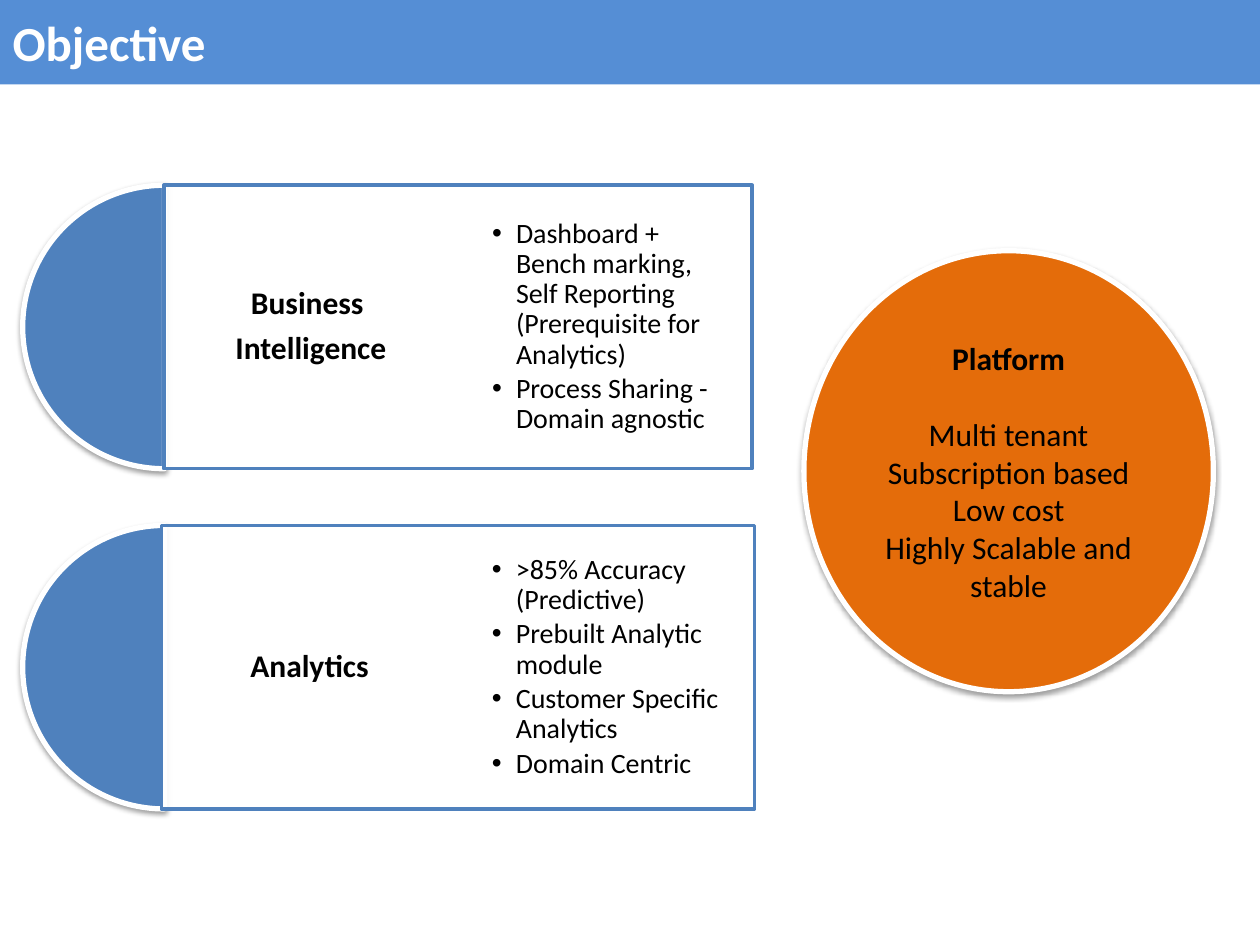
from lxml import etree
from pptx import Presentation
from pptx import util as u
from pptx.dml.color import RGBColor
from pptx.enum import shapes, text
from pptx.oxml.ns import qn

BLUE, ORANGE, BANNER = "4F81BD", "E46C0A", "558ED5"
WHITE, BLACK = "FFFFFF", "000000"


def color(hex_code):
    return RGBColor.from_string(hex_code)


def add_xml(parent, tag, **attributes):
    return etree.SubElement(parent, qn(tag), attributes)


class Deck:
    font = "Calibri"

    def __init__(self):
        self.prs = Presentation()
        self.prs.slide_width, self.prs.slide_height = u.Inches(10), u.Inches(7.5)
        self.slide = self.prs.slides.add_slide(self.prs.slide_layouts[5])

    def place(self, box):
        return [u.Inches(length) for length in box]

    def add_words(self, paragraph, words, size, ink=BLACK, bold=False):
        run = paragraph.add_run()
        run.text = words
        run.font.name, run.font.size, run.font.bold = self.font, u.Pt(size), bold
        run.font.color.rgb = color(ink)

    def paragraphs(self, frame, lines):
        """Yield one paragraph of the frame for each line."""
        for index, line in enumerate(lines):
            yield (frame.add_paragraph() if index else frame.paragraphs[0]), line

    def title(self, box, words):
        title = self.slide.shapes.title
        title.left, title.top, title.width, title.height = self.place(box)
        title.fill.solid()
        title.fill.fore_color.rgb = color(BANNER)
        frame = title.text_frame
        frame.auto_size = text.MSO_AUTO_SIZE.NONE
        frame.vertical_anchor = text.MSO_ANCHOR.MIDDLE
        frame.paragraphs[0].alignment = text.PP_ALIGN.LEFT
        self.add_words(frame.paragraphs[0], words, 28, WHITE, True)

    def shape(self, kind, box, fill, line, width):
        shape = self.slide.shapes.add_shape(kind, *self.place(box))
        shape.shadow.inherit = False
        shape.fill.solid()
        shape.fill.fore_color.rgb = color(fill)
        shape.line.color.rgb = color(line)
        shape.line.width = u.Pt(width)
        return shape

    def raised(self, kind, box, fill):
        """Add a white-rimmed shape with a soft shadow below it."""
        shape = self.shape(kind, box, fill, WHITE, 3)
        effects = shape._element.spPr.find(qn("a:effectLst"))
        shadow = add_xml(effects, "a:outerShdw", blurRad="40000", dist="20000",
                         dir="5400000", rotWithShape="0")
        add_xml(add_xml(shadow, "a:srgbClr", val=BLACK), "a:alpha", val="38000")
        return shape

    def half_disc(self, box):
        disc = self.raised(shapes.MSO_SHAPE.PIE, box, BLUE)
        disc.adjustments[0], disc.adjustments[1] = 54, 162

    def panel(self, box):
        panel = self.shape(shapes.MSO_SHAPE.RECTANGLE, box, WHITE, BLUE, 2)
        fill = panel._element.spPr.find(qn("a:solidFill"))
        add_xml(fill[0], "a:alpha", val="90000")

    def text_box(self, box, inset):
        frame = self.slide.shapes.add_textbox(*self.place(box)).text_frame
        frame.word_wrap = True
        frame.vertical_anchor = text.MSO_ANCHOR.MIDDLE
        frame.margin_left = frame.margin_right = u.Inches(inset)
        frame.margin_top = frame.margin_bottom = u.Inches(inset)
        return frame

    def heading(self, box, lines):
        for paragraph, line in self.paragraphs(self.text_box(box, 0.07), lines):
            paragraph.alignment = text.PP_ALIGN.CENTER
            paragraph.line_spacing, paragraph.space_after = 0.9, u.Pt(6.3)
            self.add_words(paragraph, line, 18, bold=True)

    def bullets(self, box, lines):
        indent = u.Inches(0.19)
        for paragraph, line in self.paragraphs(self.text_box(box, 0.27), lines):
            paragraph.line_spacing, paragraph.space_after = 0.9, u.Pt(2.4)
            properties = paragraph._p.get_or_add_pPr()
            properties.set("marL", str(indent))
            properties.set("indent", str(-indent))
            add_xml(properties, "a:buFont", typeface="Arial")
            add_xml(properties, "a:buChar", char="•")
            self.add_words(paragraph, line, 16)

    def capability(self, left, top, width, heading, points):
        size, half = 2.25, width / 2
        self.half_disc((0.18, top, size, size))
        self.panel((left, top, width, size))
        self.heading((left, top, half, size), heading)
        self.bullets((left + half, top, half, size), points)

    def platform(self, box, heading, features):
        circle = self.raised(shapes.MSO_SHAPE.OVAL, box, ORANGE)
        frame = circle.text_frame
        frame.word_wrap = True
        frame.vertical_anchor = text.MSO_ANCHOR.MIDDLE
        for paragraph, line in self.paragraphs(frame, [heading, *features]):
            paragraph.alignment = text.PP_ALIGN.CENTER
            self.add_words(paragraph, line, 18, bold=line == heading)
        frame.paragraphs[0].space_after = u.Pt(22)


def main():
    deck = Deck()
    deck.title((0, 0, 10, 0.67), "Objective")
    deck.capability(1.28, 4.17, 4.71, ["Analytics"], [
        ">85% Accuracy (Predictive)", "Prebuilt Analytic module",
        "Customer Specific Analytics", "Domain Centric"])
    deck.capability(1.3, 1.47, 4.67, ["Business ", "Intelligence"], [
        "Dashboard + Bench marking, Self Reporting (Prerequisite for Analytics)",
        "Process Sharing - Domain agnostic"])
    deck.platform((6.38, 1.99, 3.25, 3.5), "Platform", [
        "Multi tenant", "Subscription based", "Low cost",
        "Highly Scalable and stable"])
    deck.prs.save("out.pptx")


if __name__ == "__main__":
    main()
